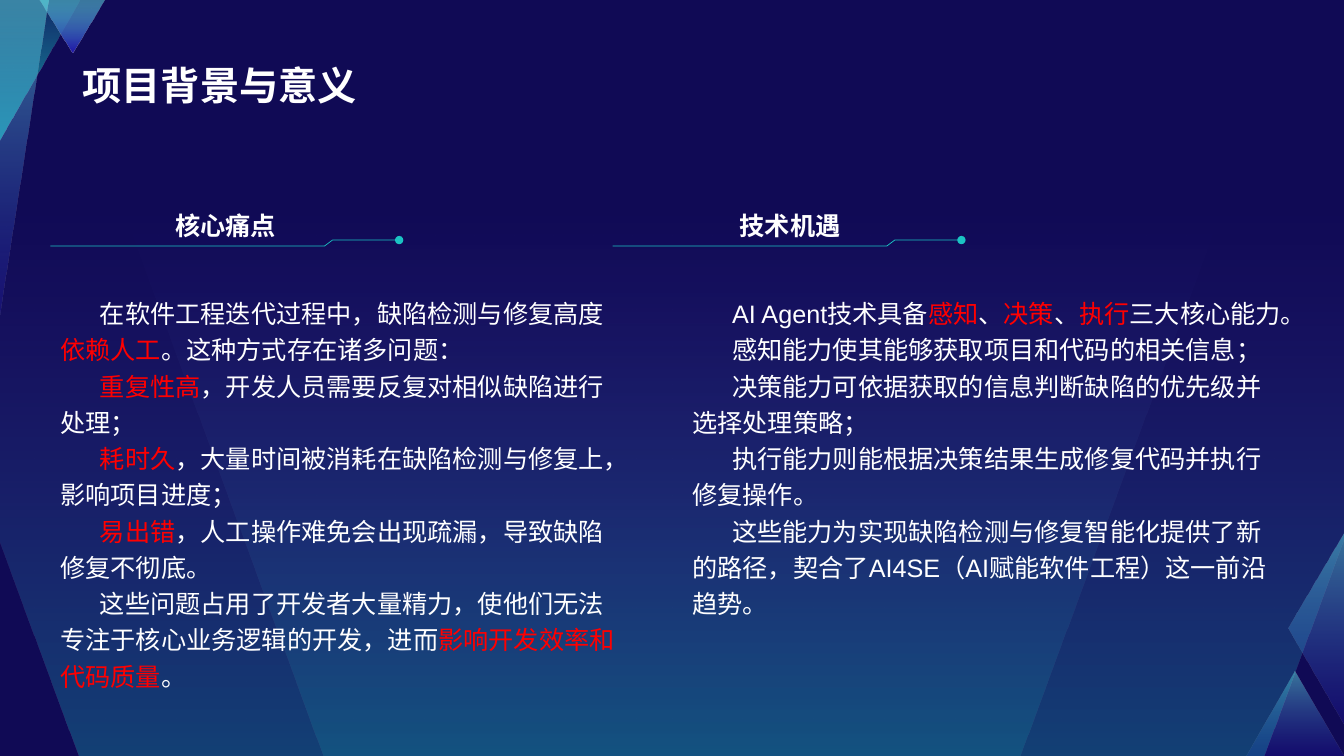
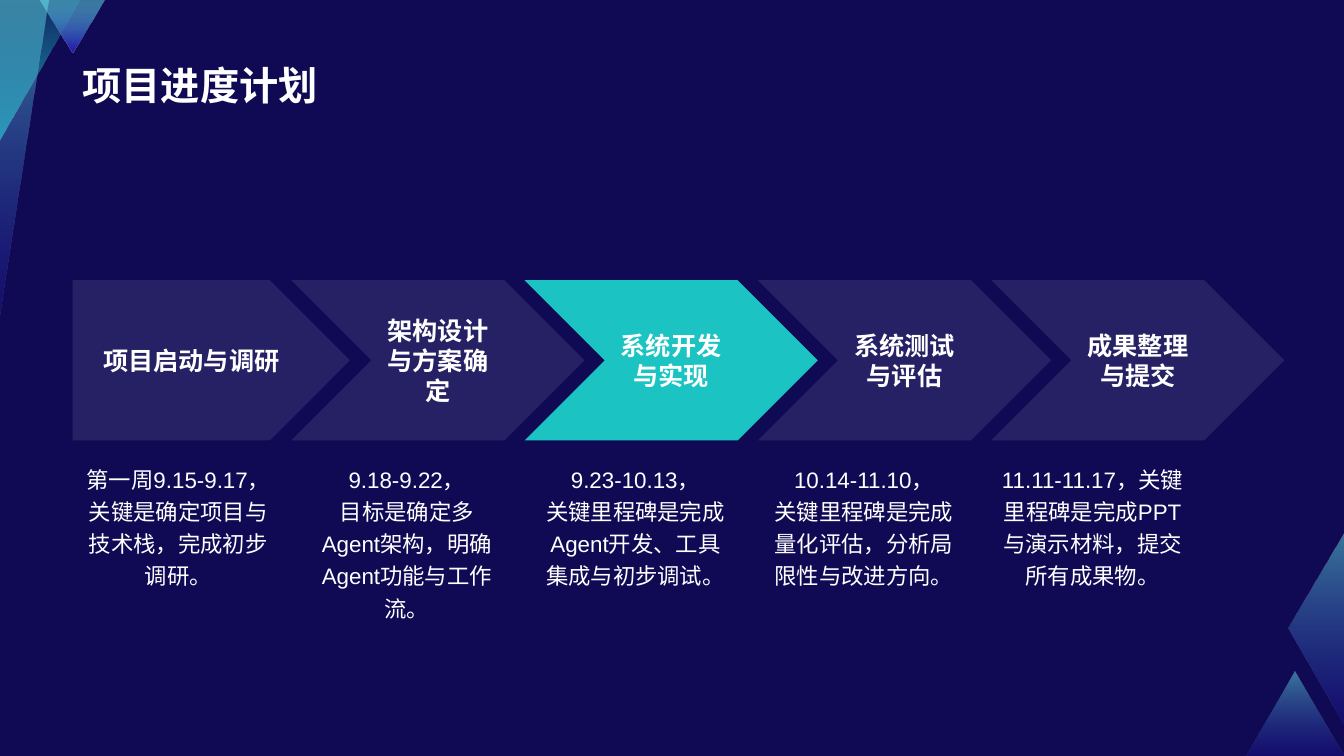
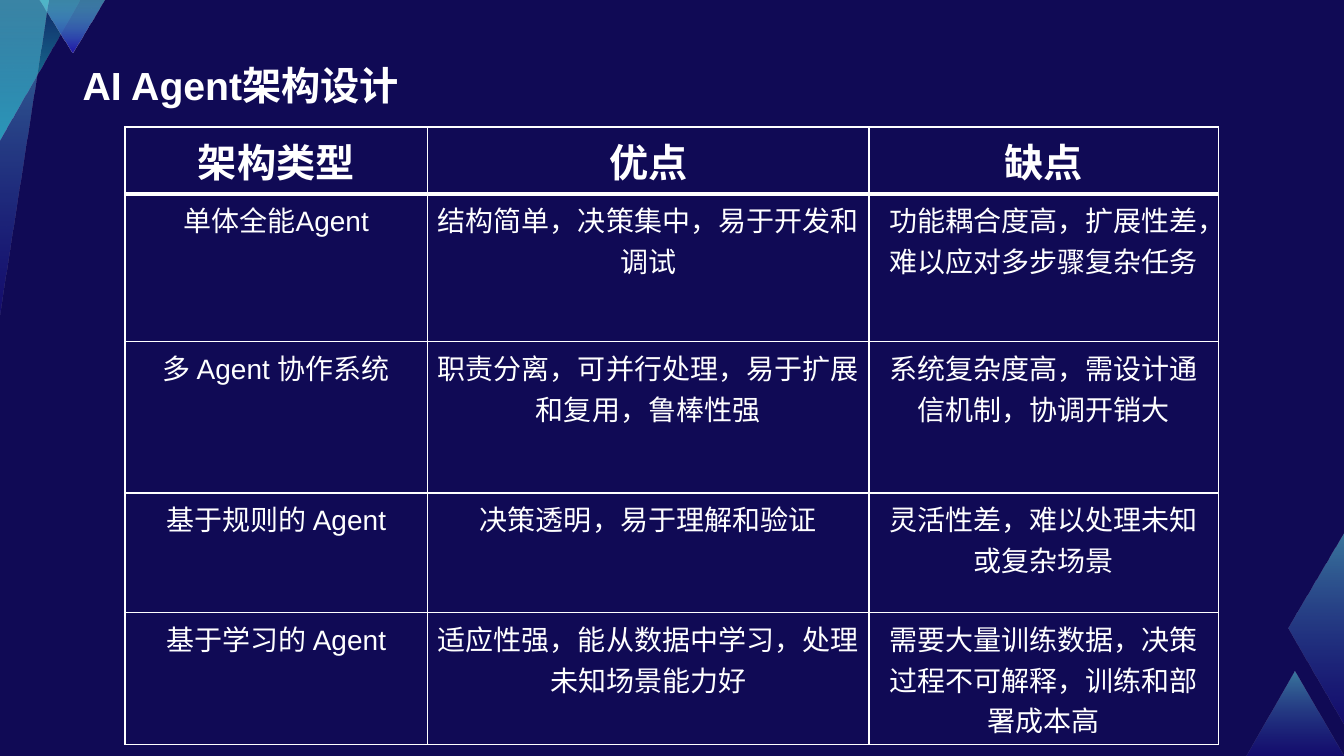
from lxml import etree
from pptx import Presentation
from pptx.dml.color import RGBColor
from pptx.enum.lang import MSO_LANGUAGE_ID
from pptx.enum.shapes import MSO_SHAPE, PP_PLACEHOLDER
from pptx.enum.text import MSO_ANCHOR, MSO_AUTO_SIZE, PP_ALIGN
from pptx.oxml.ns import qn
from pptx.util import Cm, Pt

LEFT, CENTER = PP_ALIGN.LEFT, PP_ALIGN.CENTER
TOP, MIDDLE, BOTTOM = MSO_ANCHOR.TOP, MSO_ANCHOR.MIDDLE, MSO_ANCHOR.BOTTOM
PLATE, CHEVRON = MSO_SHAPE.PENTAGON, MSO_SHAPE.CHEVRON
TITLE = PP_PLACEHOLDER.TITLE
CHINESE = MSO_LANGUAGE_ID.SIMPLIFIED_CHINESE
NO_AUTOFIT = MSO_AUTO_SIZE.NONE

# Shared look
FONT = "Arial"
NAVY, WHITE, RED = "100A55", "FFFFFF", "FF0000"
TEAL, AQUA, BLUE, VIOLET, PALE = "1BC3C3", "67EAEA", "2014AA", "7461E5", "F0F0F0"
WIDTH, HEIGHT = 33.87, 19.05
UP, DOWN = 90, 270
BLUE_TO_AQUA = [(BLUE, 28), (AQUA, 49)]

# Corner facets: points, gradient stops (colour, opacity), direction
FACETS = [
    ([(31.42, HEIGHT), (WIDTH, HEIGHT), (32.64, 16.92)], BLUE_TO_AQUA, UP),
    ([(WIDTH, 13.39), (WIDTH, 18.29), (32.46, 15.82)], BLUE_TO_AQUA, UP),
    ([(0, 0), (2.01, 0), (1.98, 0.08), (0, 3.53)], [(TEAL, 15), (TEAL, 82)], DOWN),
    ([(0.99, 0), (2.64, 0), (1.83, 1.32)], [(BLUE, 100), (AQUA, 49)], UP),
    ([(0, 0), (1.22, 0), (1.19, 0.15), (0, 8)], BLUE_TO_AQUA, UP),
]

# Slide 1: left edge of rule, heading, body; asterisks enclose red words
COLUMNS = [
    (1.27, 4.17, 1.27, 14.71, "核心痛点", [
        "在软件工程迭代过程中，缺陷检测与修复高度*依赖人工*。这种方式存在诸多问题：",
        "*重复性高*，开发人员需要反复对相似缺陷进行处理；",
        "*耗时久*，大量时间被消耗在缺陷检测与修复上，影响项目进度；",
        "*易出错*，人工操作难免会出现疏漏，导致缺陷修复不彻底。",
        "这些问题占用了开发者大量精力，使他们无法专注于核心业务逻辑的开发，"
        "进而*影响开发效率和代码质量*。",
    ]),
    (15.44, 18.39, 17.2, 15.44, "技术机遇", [
        "AI Agent技术具备*感知*、*决策*、*执行*三大核心能力。",
        "感知能力使其能够获取项目和代码的相关信息；",
        "决策能力可依据获取的信息判断缺陷的优先级并选择处理策略；",
        "执行能力则能根据决策结果生成修复代码并执行修复操作。",
        "这些能力为实现缺陷检测与修复智能化提供了新的路径，"
        "契合了AI4SE（AI赋能软件工程）这一前沿趋势。",
    ]),
]

# Slide 2: phase, description
PHASES = [
    ("项目启动与调研", ["第一周9.15-9.17，", "关键是确定项目与技术栈，完成初步调研。"]),
    ("架构设计与方案确定",
     ["9.18-9.22，", "目标是确定多Agent架构，明确Agent功能与工作流。"]),
    ("系统开发与实现",
     ["9.23-10.13，", "关键里程碑是完成Agent开发、工具集成与初步调试。"]),
    ("系统测试与评估",
     ["10.14-11.10，", "关键里程碑是完成量化评估，分析局限性与改进方向。"]),
    ("成果整理与提交",
     ["11.11-11.17，关键里程碑是完成PPT与演示材料，提交所有成果物。"]),
]
CURRENT_PHASE = 2

# Slide 3
COLUMN_WIDTHS = [7.62, 11.13, 8.81]
ROW_HEIGHTS = [1.07, 3.73, 3.81, 3.02, 1.07]
ARCHITECTURES = [
    ("架构类型", "优点", "缺点"),
    ("单体全能Agent", "结构简单，决策集中，易于开发和调试",
     "功能耦合度高，扩展性差，难以应对多步骤复杂任务"),
    ("多 Agent 协作系统", "职责分离，可并行处理，易于扩展和复用，鲁棒性强",
     "系统复杂度高，需设计通信机制，协调开销大"),
    ("基于规则的 Agent", "决策透明，易于理解和验证", "灵活性差，难以处理未知或复杂场景"),
    ("基于学习的 Agent", "适应性强，能从数据中学习，处理未知场景能力好",
     "需要大量训练数据，决策过程不可解释，训练和部署成本高"),
]


def color(value):
    return RGBColor.from_string(value)


def set_opacity(color_element, percent):
    if percent < 100:
        alpha = etree.SubElement(color_element, qn("a:alpha"))
        alpha.set("val", str(percent * 1000))


def write(frame, paragraphs, size=18, bold=False, align=LEFT, anchor=TOP,
          spacing=None, indent=0):
    """Fill a text frame; words between asterisks turn red."""
    frame.word_wrap = True
    frame.vertical_anchor = anchor
    for index, text in enumerate(paragraphs):
        paragraph = frame.add_paragraph() if index else frame.paragraphs[0]
        paragraph.alignment = align
        if spacing:
            paragraph.line_spacing = spacing
        if indent:
            paragraph._p.get_or_add_pPr().set("indent", str(Cm(indent)))
        for position, piece in enumerate(text.split("*")):
            if not piece:
                continue
            run = paragraph.add_run()
            run.text = piece
            run.font.name = FONT
            run.font.size = Pt(size)
            run.font.bold = bold
            run.font.language_id = CHINESE
            run.font.color.rgb = color(RED if position % 2 else WHITE)


def add_text(slide, left, top, width, height, paragraphs, **text_format):
    box = slide.shapes.add_textbox(Cm(left), Cm(top), Cm(width), Cm(height))
    write(box.text_frame, paragraphs, **text_format)


def add_outline(slide, points, close=True):
    start, *others = [(Cm(x), Cm(y)) for x, y in points]
    builder = slide.shapes.build_freeform(*start)
    builder.add_line_segments(others, close=close)
    shape = builder.convert_to_shape()
    shape.shadow.inherit = False
    return shape


def add_facet(slide, points, stops, angle):
    shape = add_outline(slide, points)
    shape.line.fill.background()
    shape.fill.gradient()
    shape.fill.gradient_angle = angle
    for stop, (value, _) in zip(shape.fill.gradient_stops, stops):
        stop.color.rgb = color(value)
    elements = list(shape.element.spPr.iter(qn("a:srgbClr")))
    for element, (_, opacity) in zip(elements, stops):
        set_opacity(element, opacity)
    return shape


def add_heading_rule(slide, left, top):
    points = [(0, 0.15), (6.91, 0.15), (7.11, 0), (8.79, 0)]
    shape = add_outline(slide, [(left + x, top + y) for x, y in points], close=False)
    shape.fill.background()
    shape.line.color.rgb = color(TEAL)
    shape.line.width = Pt(0.5)
    etree.SubElement(shape.line._get_or_add_ln(), qn("a:tailEnd")).set("type", "oval")


def add_phase_arrow(slide, kind, left, width, text, fill, opacity):
    shape = slide.shapes.add_shape(kind, Cm(left), Cm(7.06), Cm(width), Cm(4.04))
    shape.shadow.inherit = False
    shape.line.fill.background()
    shape.fill.solid()
    shape.fill.fore_color.rgb = color(fill)
    set_opacity(next(shape.element.spPr.iter(qn("a:srgbClr"))), opacity)
    write(shape.text_frame, [text], bold=True, align=CENTER, anchor=MIDDLE)


def set_border(cell, side, width):
    line = etree.SubElement(cell._tc.get_or_add_tcPr(), qn("a:ln" + side))
    line.set("w", str(Pt(width)))
    fill = etree.SubElement(line, qn("a:solidFill"))
    etree.SubElement(fill, qn("a:srgbClr")).set("val", WHITE)


def add_titled_slide(presentation, layout, title):
    slide = presentation.slides.add_slide(layout)
    shape = slide.shapes.title
    shape.left, shape.top = Cm(1.83), Cm(0.36)
    shape.width, shape.height = Cm(30.18), Cm(2.49)
    shape.text_frame.auto_size = NO_AUTOFIT
    write(shape.text_frame, [title], size=28, bold=True, anchor=BOTTOM)
    return slide


def dress_layout(layout, slide):
    """Give the layout its background and facets, drawn first on a slide."""
    layout.background.fill.solid()
    layout.background.fill.fore_color.rgb = color(NAVY)
    for placeholder in list(layout.placeholders):
        if placeholder.placeholder_format.type != TITLE:
            placeholder.element.getparent().remove(placeholder.element)
    facets = [add_facet(slide, *facet) for facet in FACETS]
    for facet in facets:
        layout.shapes._spTree.append(facet.element)


def fill_background_slide(slide):
    backdrop = [(0, 5), (WIDTH, 5), (WIDTH, 13.51), (31.83, HEIGHT),
                (2.01, HEIGHT), (0, 13.61)]
    beam = [(3, 5), (30.89, 5), (25.7, HEIGHT), (8.15, HEIGHT)]
    add_facet(slide, backdrop, [(VIOLET, 0), (TEAL, 30)], DOWN)
    add_facet(slide, beam, [(VIOLET, 0), (TEAL, 15)], DOWN)
    for rule_left, heading_left, body_left, body_width, heading, body in COLUMNS:
        add_text(slide, heading_left, 3.84, 9.5, 2.34, [heading],
                 bold=True, anchor=BOTTOM)
        add_heading_rule(slide, rule_left, 6.05)
        add_text(slide, body_left, 7.24, body_width, 7.5, body, spacing=1.2, indent=1)


def fill_schedule_slide(slide):
    for index, (phase, description) in enumerate(PHASES):
        left = 1.46 + 5.88 * index
        fill, opacity = (TEAL, 100) if index == CURRENT_PHASE else (PALE, 10)
        if index == 0:
            add_phase_arrow(slide, PLATE, 1.83, 6.99, phase, fill, opacity)
        else:
            add_phase_arrow(slide, CHEVRON, left, 7.39, phase, fill, opacity)
        add_text(slide, 1.83 + 5.76 * index, 11.48, 5.33, 4.65, description,
                 size=16, align=CENTER, spacing=1.2)


def fill_architecture_slide(slide):
    frame = slide.shapes.add_table(
        len(ROW_HEIGHTS), len(COLUMN_WIDTHS), Cm(3.15), Cm(3.2),
        Cm(sum(COLUMN_WIDTHS)), Cm(sum(ROW_HEIGHTS)))
    table = frame.table
    table.first_row = table.horz_banding = False
    for column, width in zip(table.columns, COLUMN_WIDTHS):
        column.width = Cm(width)
    for row_index, (row, height) in enumerate(zip(table.rows, ROW_HEIGHTS)):
        row.height = Cm(height)
        header = row_index == 0
        widths = {"L": 1, "R": 1, "T": 3 if row_index == 1 else 1, "B": 3 if header else 1}
        for cell, text in zip(row.cells, ARCHITECTURES[row_index]):
            for side, width in widths.items():
                set_border(cell, side, width)
            cell.fill.background()
            write(cell.text_frame, [text], size=28 if header else 20,
                  bold=header, align=CENTER)


def main():
    presentation = Presentation()
    presentation.slide_width, presentation.slide_height = Cm(WIDTH), Cm(HEIGHT)
    layout = presentation.slide_layouts[5]

    slide = add_titled_slide(presentation, layout, "项目背景与意义")
    dress_layout(layout, slide)
    fill_background_slide(slide)
    fill_schedule_slide(add_titled_slide(presentation, layout, "项目进度计划"))
    fill_architecture_slide(add_titled_slide(presentation, layout, "AI Agent架构设计"))

    presentation.save("out.pptx")


if __name__ == "__main__":
    main()
